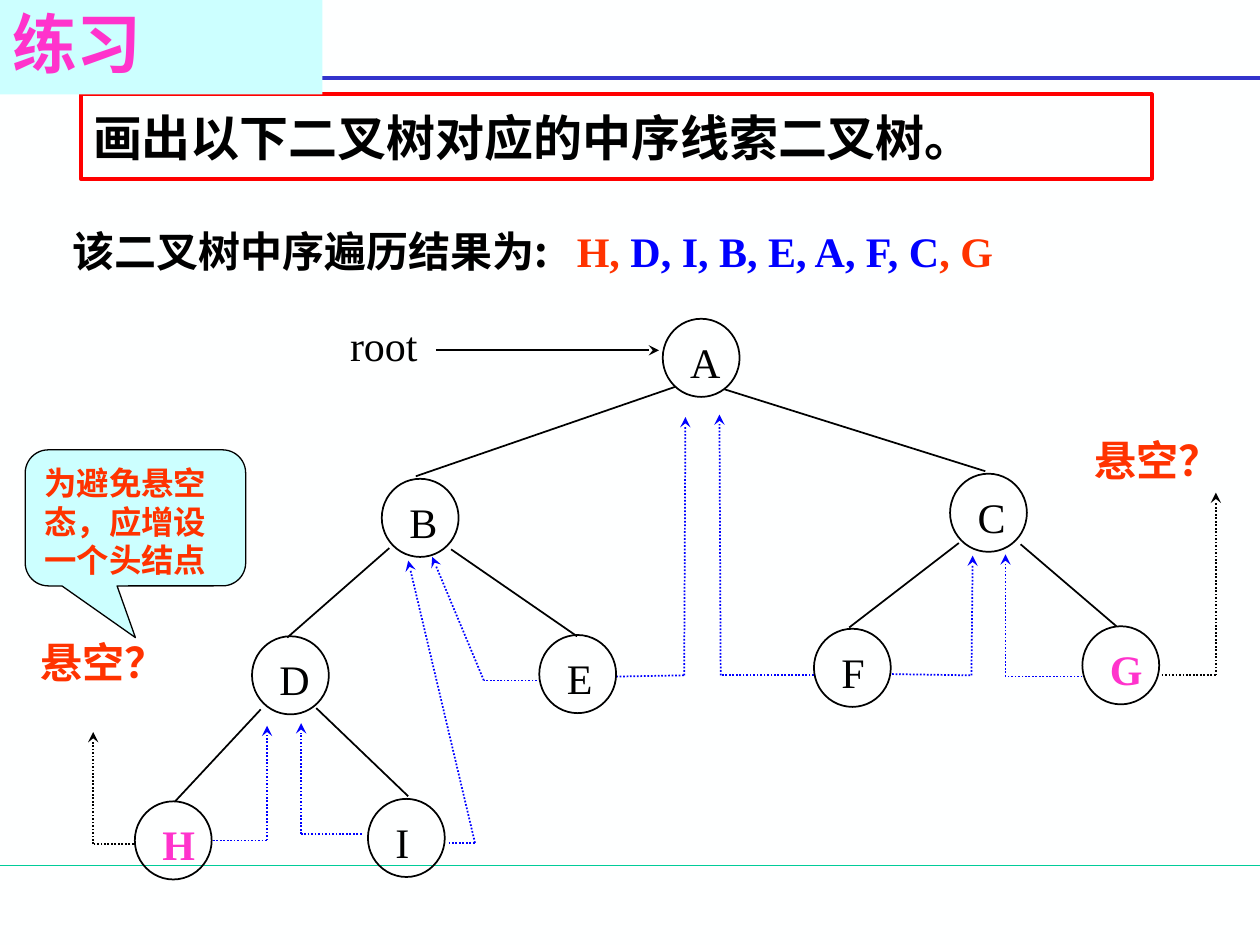
import dataclasses
import itertools
import typing

import lxml.etree
import pptx
import pptx.dml.color
import pptx.enum.dml
import pptx.enum.shapes
import pptx.enum.text
import pptx.oxml.ns
import pptx.util

EMU_PER_PX = 9144
NODE_SIZE = (61, 62)
LABEL_OFFSET = (12, 9)
LINE_HEIGHT = 50

ShapeType = pptx.enum.shapes.MSO_SHAPE
Point = tuple[int, int]
Box = tuple[int, int, int, int]


@dataclasses.dataclass(frozen=True)
class Theme:
    latin: str = "Times New Roman"
    chinese: str = "Noto Sans CJK SC"
    background: str = "FEFFFF"
    black: str = "000000"
    blue: str = "0000FF"
    red: str = "FF0000"
    orange: str = "FF3300"
    pink: str = "FF33CC"
    cyan: str = "CCFFFF"
    header_rule: str = "3333CC"
    footer_rule: str = "00CC99"
    body_size: float = 24
    title_size: float = 28
    heading_size: float = 37
    callout_size: float = 18.5
    thin: float = 0.75
    normal: float = 1
    thick: float = 2.25


THEME = Theme()


class Style(typing.NamedTuple):
    color: str = THEME.black
    size: float = THEME.body_size
    bold: bool = False
    font: str = THEME.latin


class Node(typing.NamedTuple):
    name: str
    left: int
    top: int
    label_width: int
    endpoint: bool = False


class Thread(typing.NamedTuple):
    points: tuple[Point, ...]
    color: str = THEME.blue


NODES = (
    Node("A", 526, 253, 44),
    Node("B", 303, 380, 42),
    Node("C", 754, 376, 42),
    Node("D", 200, 505, 44),
    Node("E", 428, 504, 41),
    Node("F", 646, 499, 39),
    Node("G", 859, 497, 46, True),
    Node("H", 107, 636, 46, True),
    Node("I", 292, 634, 31),
)

BRANCHES: tuple[tuple[Point, Point], ...] = (
    ((536, 307), (330, 378)),
    ((575, 309), (782, 374)),
    ((309, 435), (228, 506)),
    ((358, 436), (458, 505)),
    ((761, 431), (674, 498)),
    ((810, 432), (886, 497)),
    ((207, 563), (139, 636)),
    ((251, 562), (324, 632)),
)

THREADS = (
    Thread(((356, 669), (377, 669), (324, 445))),
    Thread(((426, 540), (384, 540), (343, 442))),
    Thread(((287, 662), (239, 662), (239, 574))),
    Thread(((169, 667), (212, 667), (212, 576))),
    Thread(((646, 536), (572, 536), (571, 329))),
    Thread(((859, 537), (798, 537), (798, 440))),
    Thread(((106, 670), (74, 670), (74, 581)), THEME.black),
    Thread(((489, 537), (543, 536), (544, 331))),
    Thread(((708, 535), (771, 536), (772, 441))),
    Thread(((922, 536), (965, 536), (965, 391)), THEME.black),
)


def px(value: int) -> pptx.util.Emu:
    return pptx.util.Emu(value * EMU_PER_PX)


def rgb(value: str) -> pptx.dml.color.RGBColor:
    return pptx.dml.color.RGBColor.from_string(value)


def format_run(run, style: Style) -> None:
    run.font.name = style.font
    run.font.size = pptx.util.Pt(style.size)
    run.font.bold = style.bold
    run.font.color.rgb = rgb(style.color)
    east_asian = lxml.etree.SubElement(run.font._element, pptx.oxml.ns.qn("a:ea"))
    east_asian.set("typeface", THEME.chinese)


def write_text(shape, text: str, style: Style) -> None:
    shape.text_frame.text = text
    paragraph = shape.text_frame.paragraphs[0]
    paragraph.alignment = pptx.enum.text.PP_ALIGN.LEFT
    format_run(paragraph.runs[0], style)


def add_text(slide, box: Box, text: str, style: Style, wrap: bool = True):
    shape = slide.shapes.add_textbox(*map(px, box))
    shape.text_frame.word_wrap = wrap
    shape.text_frame.auto_size = pptx.enum.text.MSO_AUTO_SIZE.SHAPE_TO_FIT_TEXT
    write_text(shape, text, style)
    return shape


def add_shape(slide, kind: ShapeType, box: Box, fill: str | None = None,
              line: str | None = None, width: float = THEME.normal):
    shape = slide.shapes.add_shape(kind, *map(px, box))
    shape.shadow.inherit = False
    if fill:
        shape.fill.solid()
        shape.fill.fore_color.rgb = rgb(fill)
    else:
        shape.fill.background()
    if line:
        shape.line.color.rgb = rgb(line)
        shape.line.width = pptx.util.Pt(width)
    else:
        shape.line.fill.background()
    return shape


def add_line(slide, start: Point, end: Point, color: str = THEME.black,
             width: float = THEME.normal, dotted: bool = False, arrow: bool = False) -> None:
    connector = slide.shapes.add_connector(
        pptx.enum.shapes.MSO_CONNECTOR.STRAIGHT, *map(px, start + end))
    connector.line.color.rgb = rgb(color)
    connector.line.width = pptx.util.Pt(width)
    if dotted:
        connector.line.dash_style = pptx.enum.dml.MSO_LINE.ROUND_DOT
    properties = connector._element.spPr
    if arrow:
        outline = properties.find(pptx.oxml.ns.qn("a:ln"))
        lxml.etree.SubElement(outline, pptx.oxml.ns.qn("a:tailEnd")).set("type", "stealth")
    lxml.etree.SubElement(properties, pptx.oxml.ns.qn("a:effectLst"))


def add_thread(slide, thread: Thread) -> None:
    for start, end in itertools.pairwise(thread.points):
        add_line(slide, start, end, thread.color, dotted=True, arrow=end == thread.points[-1])


def add_node(slide, node: Node) -> None:
    add_shape(slide, ShapeType.OVAL, (node.left, node.top, *NODE_SIZE), line=THEME.black)
    color = THEME.pink if node.endpoint else THEME.black
    box = (node.left + LABEL_OFFSET[0], node.top + LABEL_OFFSET[1], node.label_width, LINE_HEIGHT)
    add_text(slide, box, node.name, Style(color, bold=node.endpoint), wrap=False)


def add_traversal(slide) -> None:
    shape = add_text(slide, (48, 174, 883, LINE_HEIGHT), "该二叉树中序遍历结果为:\t",
                     Style(bold=True, font=THEME.chinese))
    paragraph = shape.text_frame.paragraphs[0]
    properties = paragraph._p.get_or_add_pPr()
    tabs = lxml.etree.SubElement(properties, pptx.oxml.ns.qn("a:tabLst"))
    tab = lxml.etree.SubElement(tabs, pptx.oxml.ns.qn("a:tab"))
    tab.set("pos", str(px(400)))
    tab.set("algn", "l")
    for text, color in (("H, ", THEME.orange), ("D, I, B, E, A, F, C", THEME.blue),
                        (", G", THEME.orange)):
        run = paragraph.add_run()
        run.text = text
        format_run(run, Style(color, bold=True))


def add_panels(slide) -> None:
    title = add_shape(slide, ShapeType.RECTANGLE, (64, 75, 850, 67),
                      line=THEME.red, width=THEME.thick)
    write_text(title, "画出以下二叉树对应的中序线索二叉树。",
               Style(size=THEME.title_size, bold=True))
    callout = add_shape(slide, ShapeType.ROUNDED_RECTANGULAR_CALLOUT, (20, 357, 175, 108),
                        THEME.cyan, THEME.black, THEME.thin)
    for index, value in enumerate((0, 0.88, 0.17)):
        callout.adjustments[index] = value
    callout.text_frame.vertical_anchor = pptx.enum.text.MSO_ANCHOR.TOP
    write_text(callout, "为避免悬空态，应增设一个头结点",
               Style(THEME.orange, THEME.callout_size, True))
    heading = add_shape(slide, ShapeType.RECTANGLE, (0, 0, 256, 75), THEME.cyan)
    write_text(heading, "练习", Style(THEME.pink, THEME.heading_size, True, THEME.chinese))
    heading.text_frame.paragraphs[0].line_spacing = 0.9


def main() -> None:
    presentation = pptx.Presentation()
    presentation.slide_width, presentation.slide_height = px(1000), px(750)
    slide = presentation.slides.add_slide(presentation.slide_layouts[6])
    slide.background.fill.solid()
    slide.background.fill.fore_color.rgb = rgb(THEME.background)
    add_line(slide, (0, 687), (1000, 687), THEME.footer_rule, THEME.thin)
    add_line(slide, (0, 62), (1000, 62), THEME.header_rule, THEME.thick)
    for thread in THREADS:
        add_thread(slide, thread)
    for node in NODES:
        add_node(slide, node)
    for start, end in BRANCHES:
        add_line(slide, start, end)
    add_line(slide, (346, 278), (523, 278), arrow=True)
    add_text(slide, (268, 249, 74, LINE_HEIGHT), "root", Style(), wrap=False)
    for left, top, width in ((22, 500, 142), (859, 340, 136)):
        add_text(slide, (left, top, width, LINE_HEIGHT), "悬空？", Style(THEME.orange, bold=True))
    add_traversal(slide)
    add_panels(slide)
    presentation.save("out.pptx")


if __name__ == "__main__":
    main()
